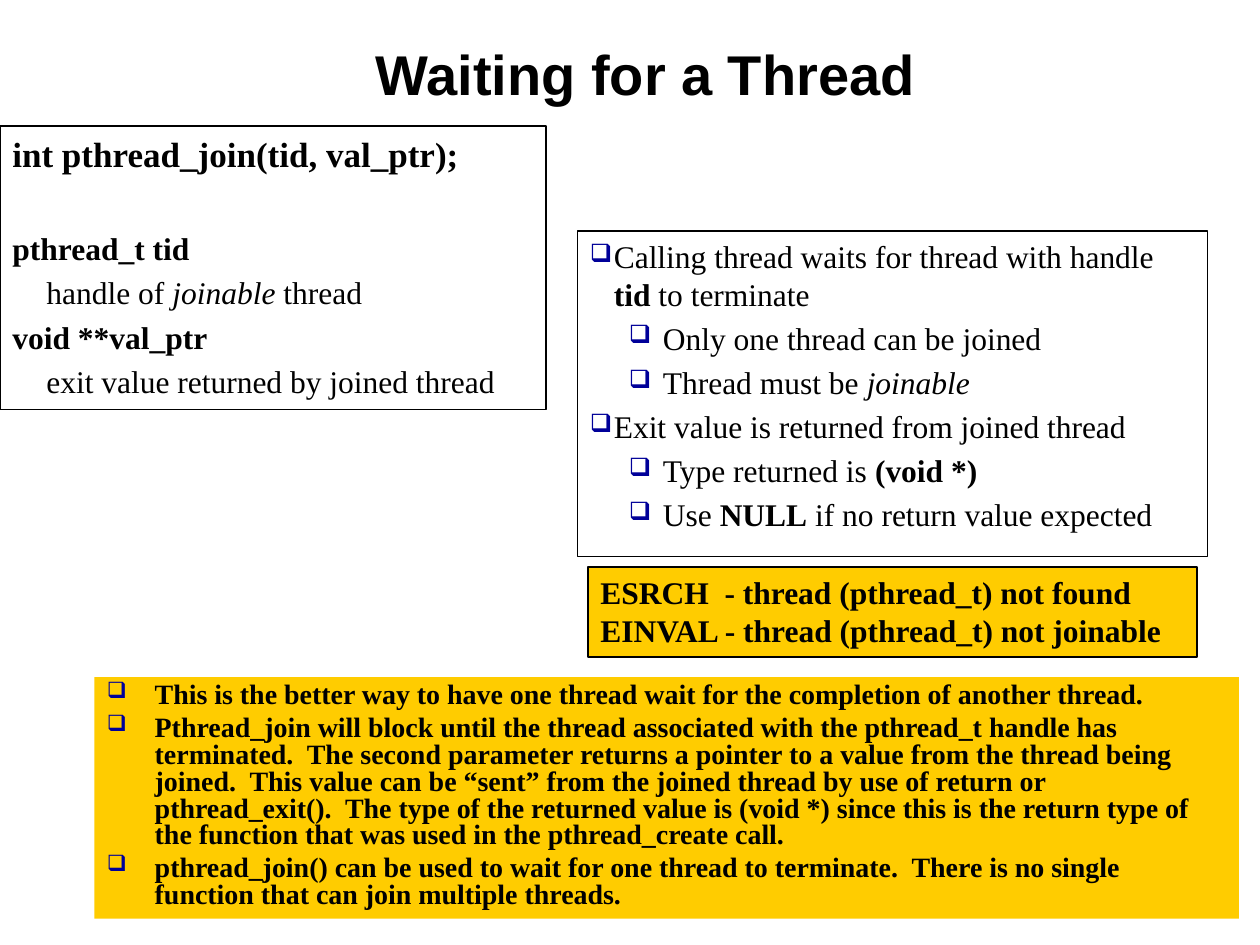
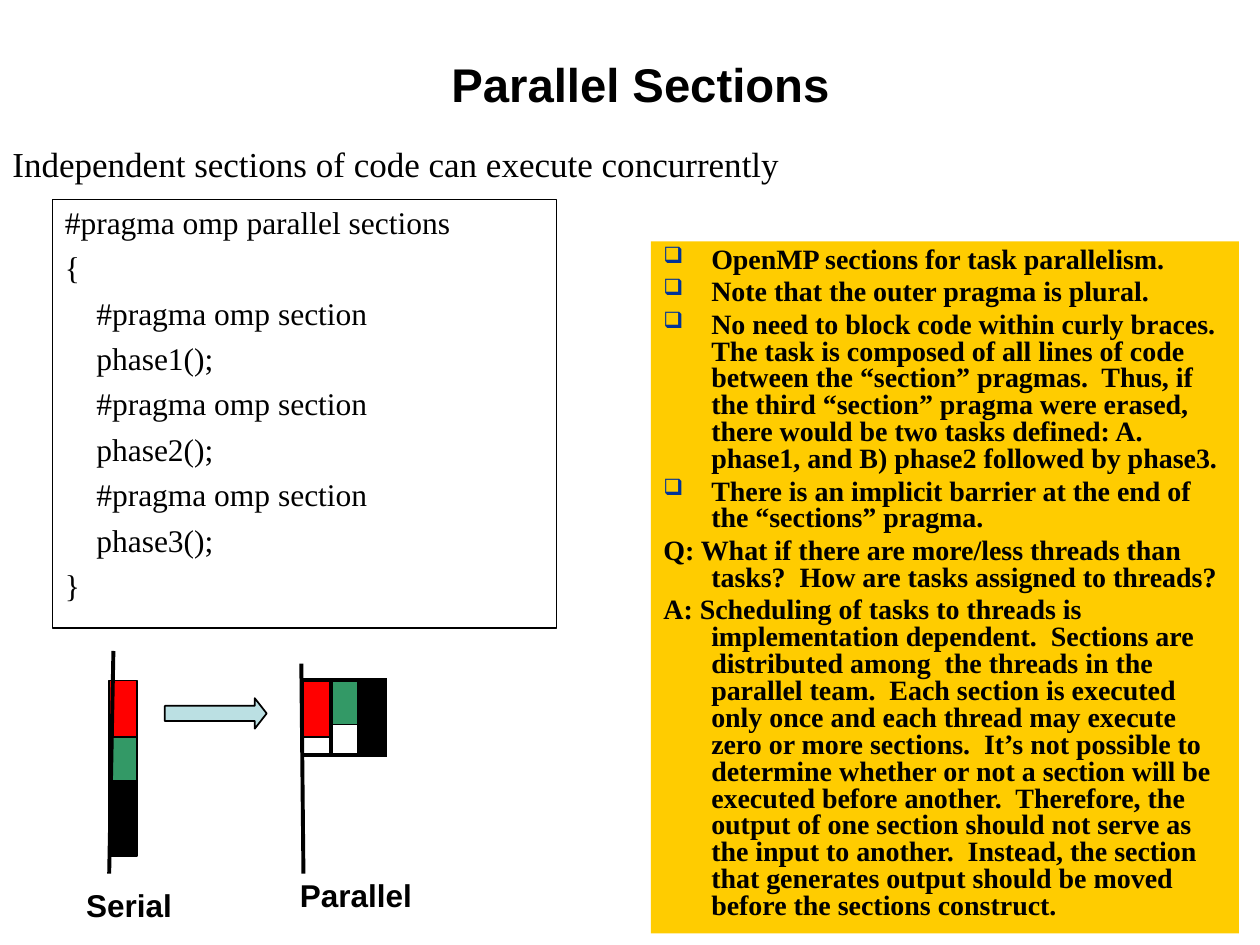
from dataclasses import dataclass, replace
from itertools import accumulate
from typing import NamedTuple, Optional

from lxml import etree
from pptx import Presentation
from pptx import util as u
from pptx.dml.color import RGBColor
from pptx.enum import shapes, text
from pptx.oxml.ns import qn

COLS, ROWS = 120, 90
CELL = u.Inches(10) / COLS
SANS, SERIF = "Arial", "Times New Roman"
BLACK, WHITE, GOLD = "000000", "FFFFFF", "FFCC00"
RED, GREEN, PALE = "FF0000", "339966", "BBE0E3"
NAVY, BLUE = "000099", "003399"
THIN, MEDIUM, HEAVY = 0.75, 1, 2.25
BOLD, ITALIC, PLAIN = {"bold": True}, {"italic": True}, {"bold": False}


class Box(NamedTuple):
    """Left, top, width and height in grid cells."""
    x: float
    y: float
    w: float
    h: float


@dataclass(frozen=True)
class Style:
    """Paragraph format; indents in inches, space before as a share of size."""
    size: float = 18
    bold: bool = False
    font: str = SERIF
    left: float = 0
    first: float = 0
    before: float = 0.2
    spacing: Optional[float] = None
    bullet: Optional[str] = None
    align: text.PP_ALIGN = text.PP_ALIGN.LEFT


class Run(NamedTuple):
    text: str
    fmt: dict = {}


class Para(NamedTuple):
    style: Style
    runs: list[Run]


class Phase(NamedTuple):
    colour: str
    rows: float


def para(style: Style, *parts: str | Run) -> Para:
    return Para(style, [Run(part) if isinstance(part, str) else part for part in parts])


def cells(n: float) -> int:
    return round(n * CELL)


def rgb(colour: str) -> RGBColor:
    return RGBColor.from_string(colour)


def apply(target: object, values: dict) -> None:
    for name, value in values.items():
        setattr(target, name, value)


def place(sp, box: Box) -> None:
    apply(sp, dict(zip(("left", "top", "width", "height"), map(cells, box))))


def add_bullet(p, colour: str) -> None:
    pPr = p._p.get_or_add_pPr()
    clr = etree.SubElement(pPr, qn("a:buClr"))
    etree.SubElement(clr, qn("a:srgbClr"), val=colour)
    etree.SubElement(pPr, qn("a:buSzPct"), val="80000")
    etree.SubElement(pPr, qn("a:buChar"), char="❑")


def write(sp, paras: list[Para], anchor=text.MSO_ANCHOR.TOP) -> None:
    tf = sp.text_frame
    apply(tf, {"word_wrap": True, "auto_size": text.MSO_AUTO_SIZE.NONE,
               "vertical_anchor": anchor})
    for i, (style, runs) in enumerate(paras):
        p = tf.add_paragraph() if i else tf.paragraphs[0]
        apply(p, {"alignment": style.align, "line_spacing": style.spacing,
                  "space_before": u.Pt(round(style.size * style.before, 1))})
        pPr = p._p.get_or_add_pPr()
        pPr.set("marL", str(u.Inches(style.left)))
        pPr.set("indent", str(u.Inches(style.first)))
        if style.bullet:
            add_bullet(p, style.bullet)
        for run in runs:
            r = p.add_run()
            r.text = run.text
            apply(r.font, {"name": style.font, "size": u.Pt(style.size),
                           "bold": style.bold, **run.fmt})
            r.font.color.rgb = rgb(BLACK)


def add_block(s, box: Box, fill: str, line: float = 0,
              kind=shapes.MSO_SHAPE.RECTANGLE):
    """Draw a filled shape, outlined in black when a line width is given."""
    sp = s.shapes.add_shape(kind, *map(cells, box))
    sp.shadow.inherit = False
    sp.fill.solid()
    sp.fill.fore_color.rgb = rgb(fill)
    if line:
        sp.line.color.rgb = rgb(BLACK)
        sp.line.width = u.Pt(line)
    else:
        sp.line.fill.background()
    return sp


def add_panel(s, box: Box, paras: list[Para], fill: str, line: float = 0) -> None:
    write(add_block(s, box, fill, line), paras)


def add_text(s, box: Box, content: Para) -> None:
    write(s.shapes.add_textbox(*map(cells, box)), [content])


def add_rule(s, x1: float, y1: float, x2: float, y2: float) -> None:
    line = s.shapes.add_connector(shapes.MSO_CONNECTOR.STRAIGHT,
                                  *map(cells, (x1, y1, x2, y2)))
    line.line.color.rgb = rgb(BLACK)
    line.line.width = u.Pt(HEAVY)
    etree.SubElement(line._element.spPr, qn("a:effectLst"))


def titled_slide(prs, title: str, box: Box, size: float):
    s = prs.slides.add_slide(prs.slide_layouts[5])
    place(s.shapes.title, box)
    style = replace(HEADING, size=size)
    write(s.shapes.title, [para(style, title)], text.MSO_ANCHOR.MIDDLE)
    return s


HEADING = Style(bold=True, font=SANS, before=0, align=text.PP_ALIGN.CENTER)
BODY = Style()
PARAMETER = Style(bold=True, left=0.27, first=-0.27)
MEANING = Style(left=0.27)
POINT = Style(left=0.19, first=-0.19, bullet=NAVY)
SUBPOINT = Style(left=0.58, first=-0.27, bullet=NAVY)
ERROR = Style(bold=True, before=0)
REMARK = Style(size=16, bold=True, left=0.38, first=-0.38, spacing=0.8)
CODE = Style(before=0.3, spacing=0.95)
CODE_INNER = replace(CODE, left=0.25)


def waiting_slide(prs) -> None:
    s = titled_slide(prs, "Waiting for a Thread", Box(29, 1, 65, 12), 32)
    add_panel(s, Box(0, 12, 52, 27), [
        para(Style(size=20, bold=True), "int pthread_join(tid, val_ptr);"),
        para(replace(PARAMETER, before=1.75), "pthread_t tid"),
        para(MEANING, "handle of ", Run("joinable", ITALIC), " thread"),
        para(PARAMETER, "void **val_ptr"),
        para(MEANING, "exit value returned by joined thread"),
    ], WHITE, THIN)

    remark = replace(REMARK, bullet=NAVY)
    add_panel(s, Box(9, 64.5, 109, 23), [para(remark, line) for line in (
        "This is the better way to have one thread wait for the completion of "
        "another thread.",
        "Pthread_join will block until the thread associated with the pthread_t "
        "handle has terminated.  The second parameter returns a pointer to a value "
        "from the thread being joined.  This value can be “sent” from the joined "
        "thread by use of return or pthread_exit().  The type of the returned value "
        "is (void *) since this is the return type of the function that was used in "
        "the pthread_create call.",
        "pthread_join() can be used to wait for one thread to terminate.  There is "
        "no single function that can join multiple threads.",
    )], GOLD)

    add_panel(s, Box(55, 22, 60, 31), [
        para(POINT, "Calling thread waits for thread with handle ",
             Run("tid", BOLD), " to terminate"),
        para(SUBPOINT, "Only one thread can be joined"),
        para(SUBPOINT, "Thread must be ", Run("joinable", ITALIC)),
        para(POINT, "Exit value is returned from joined thread"),
        para(SUBPOINT, "Type returned is ", Run("(void *)", BOLD)),
        para(SUBPOINT, "Use ", Run("NULL", BOLD), " if no return value expected"),
    ], WHITE, THIN)

    add_panel(s, Box(56, 54, 58, 8.6), [
        para(ERROR, "ESRCH  - thread (pthread_t) not found"),
        para(ERROR, "EINVAL - thread (pthread_t) not joinable"),
    ], GOLD, MEDIUM)


def draw_timelines(s) -> None:
    """Show the three phases stacked in series, then side by side."""
    phases = [Phase(RED, 5.4), Phase(GREEN, 4.2), Phase(BLACK, 7.1)]
    top, width, serial_x, parallel_x = 64.8, 2.64, 10.4, 28.9
    axis_end = 83.2
    starts = accumulate((phase.rows for phase in phases), initial=top)
    for i, (phase, start) in enumerate(zip(phases, starts)):
        for x, y in ((serial_x, start), (parallel_x + i * width, top)):
            add_block(s, Box(x, y, width, phase.rows), phase.colour, MEDIUM)

    add_rule(s, serial_x + 0.4, 62, serial_x, axis_end)
    add_rule(s, parallel_x - 0.2, 63.2, parallel_x, axis_end)
    bottom = top + max(phase.rows for phase in phases)
    for i in range(1, len(phases)):
        add_rule(s, parallel_x + i * width, top, parallel_x + i * width, bottom)
    for y in (bottom, top):
        add_rule(s, parallel_x + len(phases) * width, y, parallel_x, y)

    arrow = add_block(s, Box(15.7, 66.5, 9.7, 2.9), PALE, MEDIUM,
                      shapes.MSO_SHAPE.RIGHT_ARROW)
    arrow.adjustments[1] = 0.39
    for label, box in (("Serial", Box(7, 83.8, 10.6, 4.8)),
                       ("Parallel", Box(26.6, 82.8, 14.6, 4.8))):
        add_text(s, box, para(HEADING, label))


def sections_slide(prs) -> None:
    s = titled_slide(prs, "Parallel Sections", Box(31, 4.2, 60, 7.5), 27)
    add_text(s, Box(0, 13, 83, 5), para(
        replace(BODY, size=20), "Independent sections of code can execute concurrently"))

    inner = [para(CODE_INNER, line) for n in (1, 2, 3)
             for line in ("#pragma omp section", f"phase{n}();")]
    add_panel(s, Box(5, 19, 48, 40.8), [
        para(CODE, "#pragma omp parallel sections"), para(CODE, "{"),
        *inner, para(CODE, "}")], WHITE, MEDIUM)

    remark = replace(REMARK, bullet=BLUE)
    add_panel(s, Box(62, 23, 56, 65.9), [
        para(remark, "OpenMP sections for task parallelism."),
        para(remark, "Note that the outer pragma is plural."),
        para(remark, "No need to block code within curly braces.  The task is composed "
             "of all lines of code between the “section” pragmas.  Thus, if the third "
             "“section” pragma were erased, there would be two tasks defined: "
             "A. phase1, and B) phase2 followed by phase3."),
        para(remark, "There is an implicit barrier at the end of the “sections” pragma."),
        para(REMARK, "Q: What if there are more/less threads than tasks?  How are tasks "
             "assigned to threads?"),
        para(REMARK, "A: Scheduling of tasks to threads is implementation dependent.  "
             "Sections are distributed among  the threads in the parallel team.  Each "
             "section is executed only once and each thread may execute zero or more "
             "sections.  It’s not possible to determine whether or not a section will "
             "be executed before another.  Therefore, the output of one section should "
             "not serve as the input to another.  Instead, the section that generates "
             "output should be moved before the sections construct."),
    ], GOLD)
    draw_timelines(s)


def main() -> None:
    prs = Presentation()
    apply(prs, {"slide_width": cells(COLS), "slide_height": cells(ROWS)})
    waiting_slide(prs)
    sections_slide(prs)
    prs.save("out.pptx")


if __name__ == "__main__":
    main()
